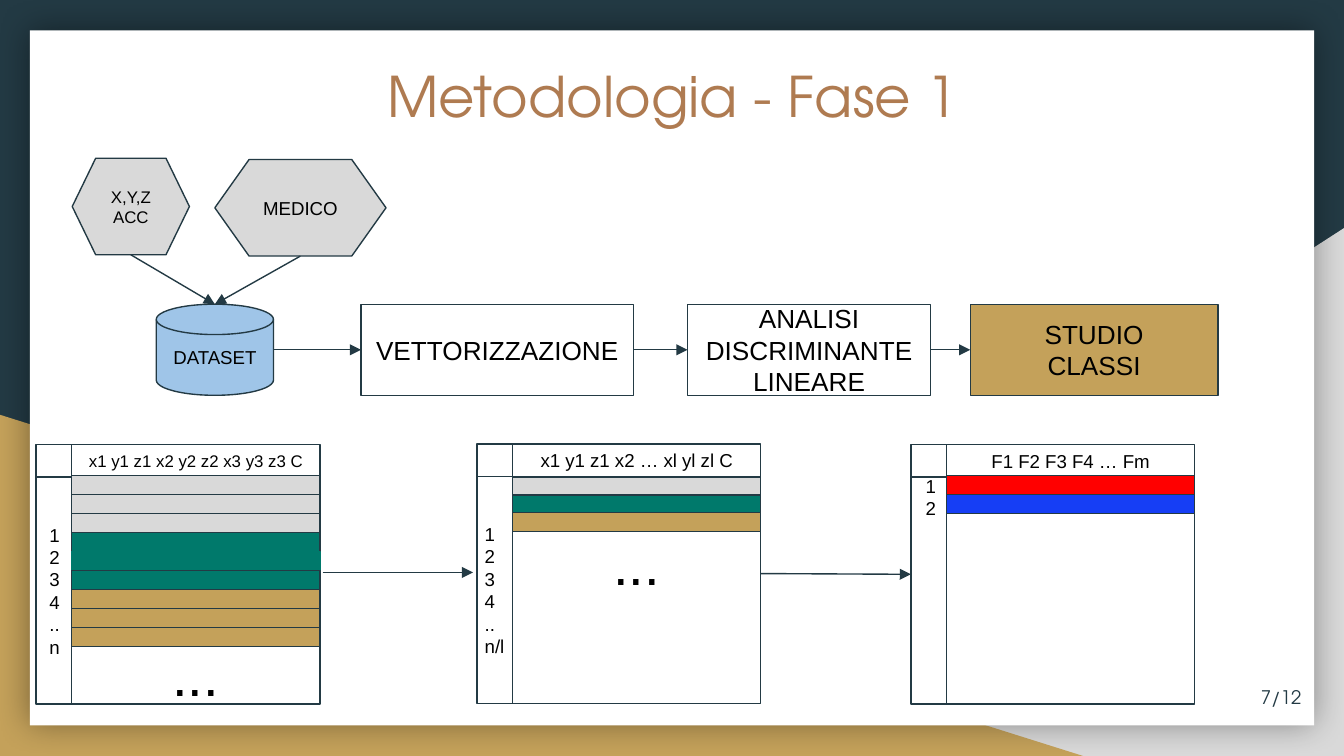
"""Build the "Metodologia - Fase 1" slide: a processing pipeline above three data tables."""
import pptx
import pptx.dml.color
import pptx.enum.shapes
import pptx.enum.text
import pptx.oxml
import pptx.oxml.ns
import pptx.util

Pt = pptx.util.Pt
KIND = pptx.enum.shapes.MSO_SHAPE
ALIGN = pptx.enum.text.PP_ALIGN
ANCHOR = pptx.enum.text.MSO_ANCHOR

NAVY, GOLD, GREY, GREEN, WHITE, BLACK = "233A44", "C4A15A", "D9D9D9", "00796B", "FFFFFF", "000000"
HEADING_FONT = "TeX Gyre Adventor"

SOURCES = [
    ("X,Y,Z ACC", 9, (38.7, 84.8, 62.8, 51.7)),
    ("MEDICO", 10, (115.1, 85.5, 91.7, 51.7)),
]
DATASET = ("DATASET", (83.7, 163, 62.8, 48.8))
STEPS = [
    ("VETTORIZZAZIONE", 193.4, 146, None),
    ("ANALISI DISCRIMINANTE LINEARE", 368.3, 130.3, None),
    ("STUDIO\nCLASSI", 519.8, 132.7, GOLD),
]
STEP_TOP, STEP_HEIGHT = 163, 48.8

TABLES = [
    {"at": (19.4, 238.2), "header": "x1 y1 z1 x2 y2 z2 x3 y3 z3 C", "header_size": 9,
     "rows": "1\n2\n3\n4\n..\vn", "rows_box": (0, 25.2, 121.7),
     "stripes": [GREY] * 3 + [GREEN] * 3 + [GOLD] * 3, "pitch": 10.17, "first": 16.7,
     "seamless": 4, "dots": 112.4},
    {"at": (255.6, 237.8), "header": "x1 y1 z1 x2 … xl yl zl C", "header_size": 10,
     "rows": "1\n2\n3\n4\n..\vn/l", "rows_box": (-3, 25.2, 121.7),
     "stripes": [GREY, GREEN, GOLD], "pitch": 9.5, "first": 17.8,
     "seamless": None, "dots": 53.1},
    {"at": (488, 238.2), "header": "F1 F2 F3 F4 … Fm", "header_size": 10,
     "rows": "1\n2", "rows_box": (0.8, 18, 21.6),
     "stripes": ["FF0000", "163EF5"], "pitch": 10.17, "first": 16.7,
     "seamless": None, "dots": None},
]
TABLE_WIDTH, TABLE_HEIGHT = 152, 139
INDEX_WIDTH, HEADER_HEIGHT = TABLE_WIDTH / 8, TABLE_HEIGHT / 8
STRIPE_HEIGHT = 10.17


def color(value):
    return pptx.dml.color.RGBColor.from_string(value)


def append_xml(parent, xml):
    namespace = pptx.oxml.ns.nsdecls("a")
    element = pptx.oxml.parse_xml(xml.replace("/>", f" {namespace}/>", 1) if xml.endswith("/>") and xml.count("<") == 1
                                  else xml.replace(">", f" {namespace}>", 1))
    parent.append(element)


def write(shape, text, size, font="Arial", ink=BLACK, align=ALIGN.CENTER, anchor=ANCHOR.MIDDLE):
    frame = shape.text_frame
    frame.word_wrap = True
    frame.vertical_anchor = anchor
    frame.margin_left = frame.margin_right = frame.margin_top = frame.margin_bottom = Pt(7.2)
    frame.text = text
    for paragraph in frame.paragraphs:
        paragraph.alignment = align
        paragraph.font.size = Pt(size)
        paragraph.font.name = font
        paragraph.font.color.rgb = color(ink)


def add_shape(slide, kind, box, fill=None, line=NAVY):
    shape = slide.shapes.add_shape(kind, *map(Pt, box))
    shape.shadow.inherit = False
    if fill:
        shape.fill.solid()
        shape.fill.fore_color.rgb = color(fill)
    else:
        shape.fill.background()
    if line:
        shape.line.color.rgb = color(line)
        shape.line.width = Pt(0.75)
    else:
        shape.line.fill.background()
    return shape


def add_text(slide, box, text, size, **style):
    write(slide.shapes.add_textbox(*map(Pt, box)), text, size, **style)


def add_arrow(slide, start, end, source=None, target=None):
    arrow = slide.shapes.add_connector(
        pptx.enum.shapes.MSO_CONNECTOR.STRAIGHT, *map(Pt, start + end))
    arrow.line.color.rgb = color(NAVY)
    arrow.line.width = Pt(0.75)
    append_xml(arrow.line._get_or_add_ln(), '<a:tailEnd type="triangle"/>')
    append_xml(arrow._element.spPr, "<a:effectLst/>")
    if source is not None:
        arrow.begin_connect(source, 3)
    if target is not None:
        arrow.end_connect(target, 1)


def add_backdrop(slide):
    slide.background.fill.solid()
    slide.background.fill.fore_color.rgb = color(NAVY)
    corner = add_shape(slide, KIND.RIGHT_TRIANGLE, (282.2, 122.2, 437.8, 282.8), GREY, None)
    corner._element.spPr.xfrm.set("flipH", "1")
    add_shape(slide, KIND.RIGHT_TRIANGLE, (0, 222.2, 580.3, 182.8), GOLD, None)
    panel = add_shape(slide, KIND.RECTANGLE, (16, 16.2, 688, 372.4), WHITE, None)
    effects = panel._element.spPr.find(pptx.oxml.ns.qn("a:effectLst"))
    append_xml(effects, f'<a:outerShdw blurRad="{Pt(18)}" dist="0" dir="0" algn="ctr" rotWithShape="0">'
                        '<a:srgbClr val="000000"><a:alpha val="40000"/></a:srgbClr></a:outerShdw>')


def add_pipeline(slide):
    name, dataset_box = DATASET
    left, top, width, height = dataset_box
    write(add_shape(slide, KIND.FLOWCHART_MAGNETIC_DISK, dataset_box, "9FC5E8"), name, 10)
    for label, size, box in SOURCES:
        write(add_shape(slide, KIND.FLOWCHART_PREPARATION, box, GREY), label, size)
        add_arrow(slide, (box[0] + box[2] / 2, box[1] + box[3]), (left + width / 2, top))
    previous, exit_point = None, (left + width, top + height / 2)
    for label, step_left, step_width, fill in STEPS:
        step = add_shape(slide, KIND.FLOWCHART_PROCESS, (step_left, STEP_TOP, step_width, STEP_HEIGHT), fill)
        write(step, label, 14)
        add_arrow(slide, exit_point, (step_left, STEP_TOP + STEP_HEIGHT / 2), previous, step)
        previous, exit_point = step, (step_left + step_width, STEP_TOP + STEP_HEIGHT / 2)


def add_data_table(slide, table):
    left, top = table["at"]
    body_left, body_width = left + INDEX_WIDTH, TABLE_WIDTH - INDEX_WIDTH
    grid = add_shape(slide, KIND.FLOWCHART_INTERNAL_STORAGE, (left, top, TABLE_WIDTH, TABLE_HEIGHT), WHITE)
    add_text(slide, (body_left, top, body_width, HEADER_HEIGHT), table["header"], table["header_size"])
    shift, rows_width, rows_height = table["rows_box"]
    add_text(slide, (left + shift, top + HEADER_HEIGHT, rows_width, rows_height), table["rows"], 10,
             align=ALIGN.LEFT)
    for i, fill in enumerate(table["stripes"]):
        stripe_top = top + table["first"] + i * table["pitch"]
        add_shape(slide, KIND.RECTANGLE, (body_left, stripe_top, body_width, STRIPE_HEIGHT), fill,
                  fill if i == table["seamless"] else NAVY)
    if table["dots"]:
        add_text(slide, (body_left, top + table["dots"], body_width, 21.6), "...", 30)
    return grid


def main():
    deck = pptx.Presentation()
    deck.slide_width, deck.slide_height = Pt(720), Pt(405)
    slide = deck.slides.add_slide(deck.slide_layouts[6])
    add_backdrop(slide)
    add_text(slide, (64.8, 25.9, 591.1, 74.9), "Metodologia - Fase 1", 30,
             font=HEADING_FONT, ink="AF7B51", anchor=ANCHOR.TOP)
    add_pipeline(slide)
    add_text(slide, (661, 357.8, 43.2, 31), "7/12", 10, font=HEADING_FONT, ink=NAVY, align=ALIGN.RIGHT)
    raw, vectors, features = [add_data_table(slide, table) for table in TABLES]
    add_arrow(slide, (172.8, 306.7), (253.4, 306.7))
    add_arrow(slide, (407.6, 307.3), (488, 307.7), vectors, features)
    deck.save("out.pptx")


if __name__ == "__main__":
    main()
